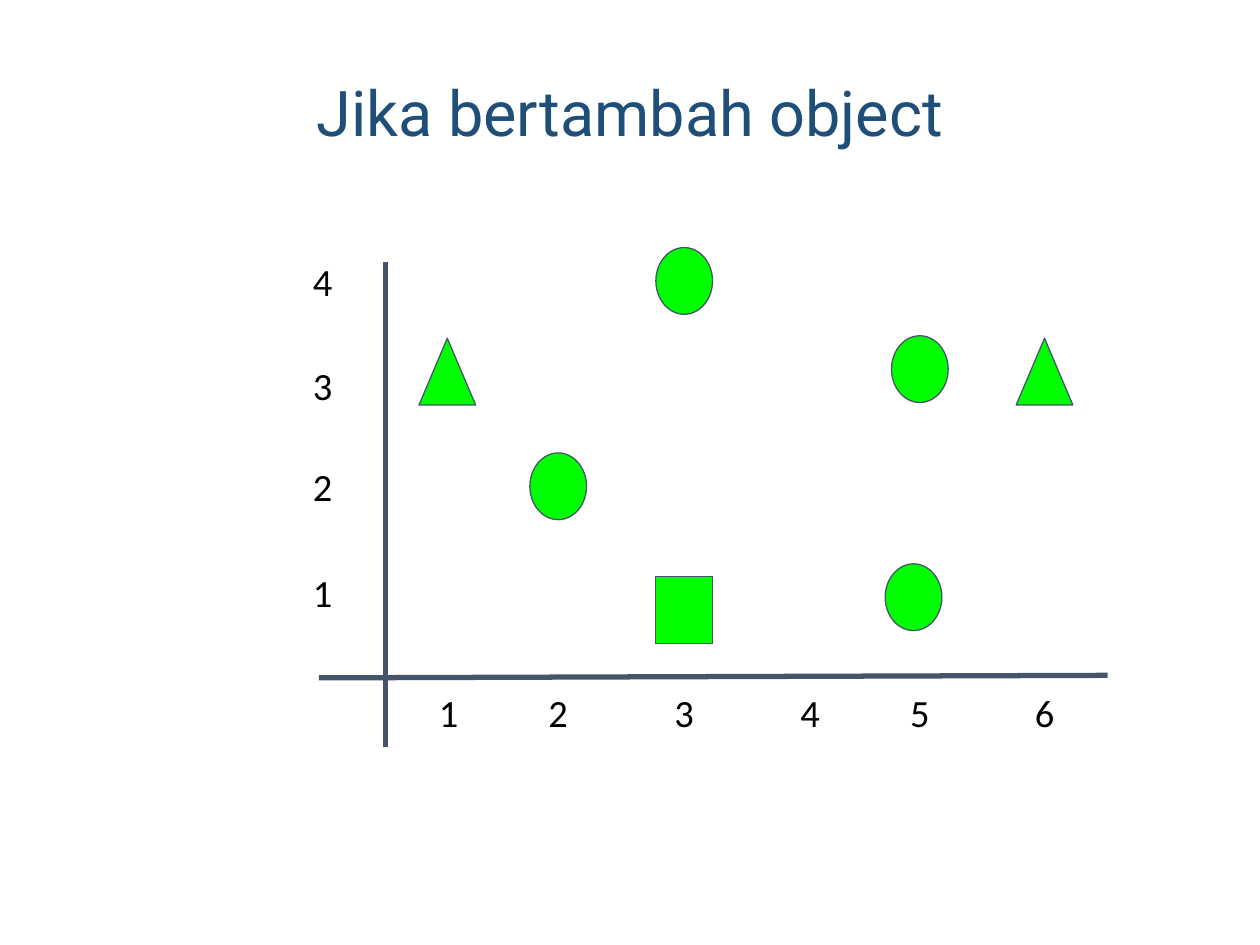
from lxml.etree import SubElement
from pptx import Presentation
from pptx.dml.color import RGBColor
from pptx.enum.shapes import MSO_CONNECTOR, MSO_SHAPE
from pptx.enum.text import MSO_ANCHOR, PP_ALIGN
from pptx.oxml.ns import qn
from pptx.util import Inches, Pt

COLORS = {"title": "1F4E79", "line": "44546A", "object": "00FF00", "label": "000000"}

# Centres of the chart's columns and rows, in inches
COLUMNS = {1: 3.56, 2: 4.43, 3: 5.43, 4: 6.43, 5: 7.3, 6: 8.29}
ROWS = {1: 4.7, 2: 3.86, 3: 3.06, 4: 2.23}
LABEL_WIDTH, LABEL_HEIGHT = 1, 0.57
OBJECT_WIDTH, OBJECT_HEIGHT = 0.45, 0.53
X_LABEL_CENTRE, Y_LABEL_CENTRE = 5.65, 2.56

# Shape, column, row, and offset from that grid point
OBJECTS = [
    (MSO_SHAPE.OVAL, 2, 2, 0, 0),
    (MSO_SHAPE.OVAL, 3, 4, 0, 0),
    (MSO_SHAPE.RECTANGLE, 3, 1, 0, 0.14),
    (MSO_SHAPE.ISOSCELES_TRIANGLE, 6, 3, 0, -0.11),
    (MSO_SHAPE.OVAL, 5, 1, -0.05, 0.04),
    (MSO_SHAPE.OVAL, 5, 3, 0, -0.13),
    (MSO_SHAPE.ISOSCELES_TRIANGLE, 1, 3, -0.01, -0.11),
]


def color(name):
    return RGBColor.from_string(COLORS[name])


def centred(x, y, width, height):
    """Return the frame of an element centred on a point."""
    return [Inches(value) for value in (x - width / 2, y - height / 2, width, height)]


def add_text(page, text, frame, font, size, color_name, inset=0.1, spacing=None):
    box = page.shapes.add_textbox(*frame)
    text_frame = box.text_frame
    text_frame.word_wrap = True
    text_frame.margin_top = text_frame.margin_bottom = Inches(inset)
    paragraph = text_frame.paragraphs[0]
    paragraph.text = text
    paragraph.alignment = PP_ALIGN.CENTER
    paragraph.line_spacing = spacing
    paragraph.font.name = font
    paragraph.font.size = Pt(size)
    paragraph.font.color.rgb = color(color_name)
    return box


def add_label(page, number, x, y):
    frame = centred(x, y, LABEL_WIDTH, LABEL_HEIGHT)
    add_text(page, str(number), frame, "Calibri", 22, "label")


def add_axis(page, *ends):
    axis = page.shapes.add_connector(MSO_CONNECTOR.STRAIGHT, *map(Inches, ends))
    axis.line.color.rgb = color("line")
    axis.line.width = Pt(3)
    SubElement(axis.element.spPr, qn("a:effectLst"))


def add_object(page, kind, x, y):
    shape = page.shapes.add_shape(kind, *centred(x, y, OBJECT_WIDTH, OBJECT_HEIGHT))
    shape.shadow.inherit = False
    shape.fill.solid()
    shape.fill.fore_color.rgb = color("object")
    shape.line.color.rgb = color("line")
    shape.line.width = Pt(0.75)


def main():
    deck = Presentation()
    deck.slide_width, deck.slide_height = Inches(10), Inches(7.5)
    page = deck.slides.add_slide(deck.slide_layouts[6])

    # Title
    title_frame = [Inches(value) for value in (0.5, 0.3, 9, 1.25)]
    title = add_text(page, "Jika bertambah object", title_frame,
                     "Roboto", 36, "title", inset=0.05, spacing=0.9)
    title.text_frame.vertical_anchor = MSO_ANCHOR.MIDDLE

    # Axes
    add_axis(page, 3.06, 2.08, 3.06, 5.93)
    add_axis(page, 2.53, 5.38, 8.79, 5.36)

    # Axis labels
    for number, x in COLUMNS.items():
        add_label(page, number, x, X_LABEL_CENTRE)
    for number, y in ROWS.items():
        add_label(page, number, Y_LABEL_CENTRE, y)

    # Plotted objects
    for kind, column, row, shift_x, shift_y in OBJECTS:
        add_object(page, kind, COLUMNS[column] + shift_x, ROWS[row] + shift_y)

    deck.save("out.pptx")


if __name__ == "__main__":
    main()
